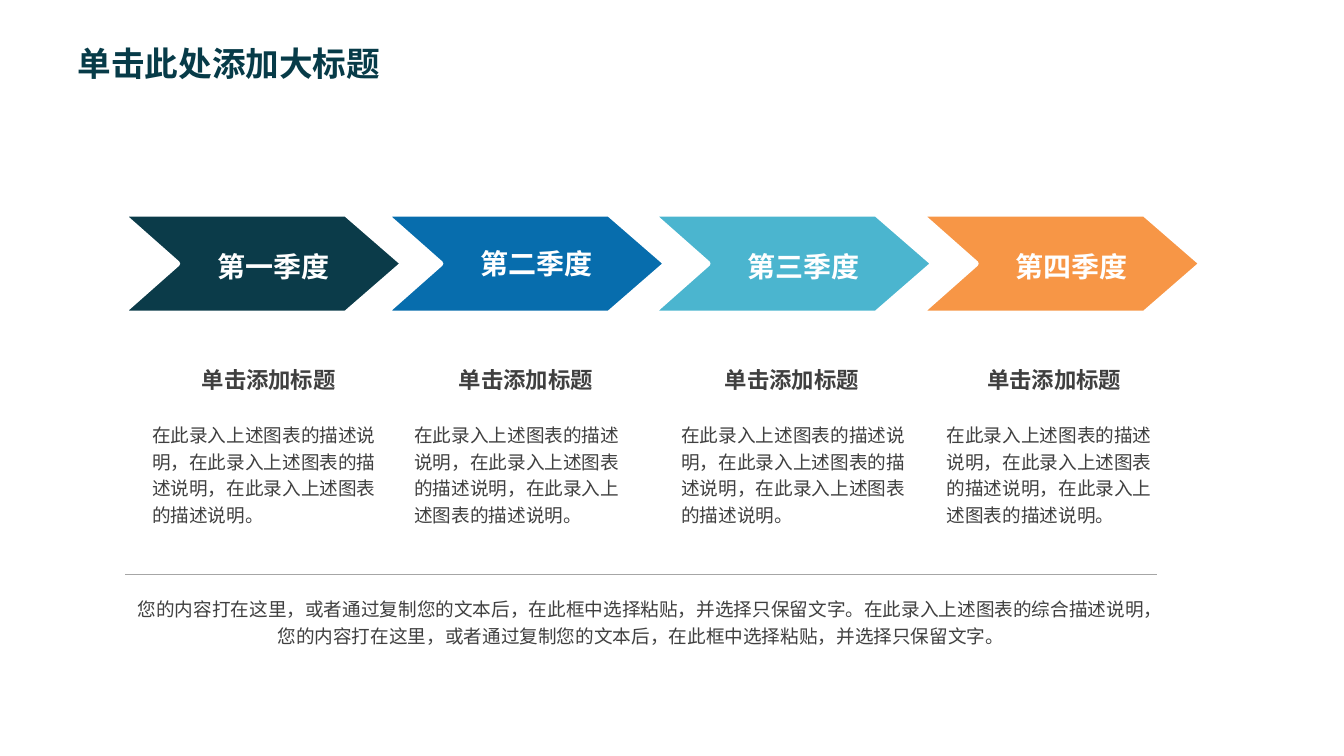
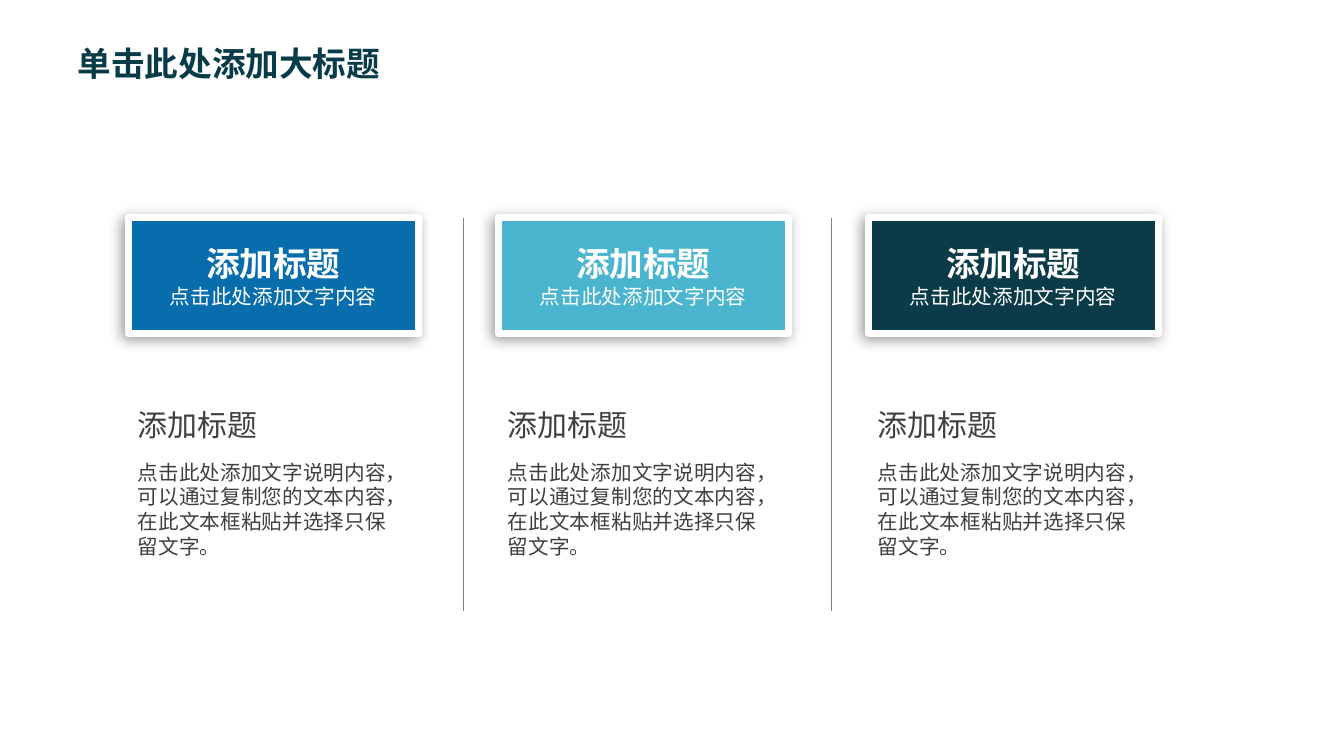
from typing import NamedTuple

from lxml.etree import SubElement
from pptx import Presentation
from pptx.dml.color import RGBColor
from pptx.enum.shapes import MSO_CONNECTOR, MSO_SHAPE
from pptx.enum.text import MSO_ANCHOR, MSO_AUTO_SIZE, PP_ALIGN
from pptx.oxml.ns import qn
from pptx.slide import Slide
from pptx.text.text import TextFrame, _Paragraph
from pptx.util import Inches, Pt

COLORS = {
    "title": "073B48",
    "navy": "0B3B49",
    "blue": "076DAD",
    "aqua": "4BB5CF",
    "orange": "F79646",
    "text": "404040",
    "rule": "A6A6A6",
    "divider": "808080",
    "white": "FFFFFF",
    "shadow": "000000",
}
CJK_FONT = "Noto Sans CJK SC"
TITLE = "单击此处添加大标题"
STEP_HEADING = "单击添加标题"
STEP_BODY = "，".join(["在此录入上述图表的描述说明"] * 3) + "。"
PASTE_HINT = "您的内容打在这里，或者通过复制您的文本后，在此框中选择粘贴，并选择只保留文字。"
SUMMARY = f"{PASTE_HINT}在此录入上述图表的综合描述说明，{PASTE_HINT}"
CARD_TITLE = "添加标题"
CARD_SUBTITLE = "点击此处添加文字内容"
CARD_BODY = "点击此处添加文字说明内容，可以通过复制您的文本内容，在此文本框粘贴并选择只保留文字。"


class Style(NamedTuple):
    size: float
    color: str = "text"
    bold: bool = False
    align: PP_ALIGN = PP_ALIGN.LEFT
    spacing: float = 1.0
    font: str = CJK_FONT


class Box(NamedTuple):
    left: float
    top: float
    width: float
    height: float

    def lengths(self) -> list[Inches]:
        return [Inches(v) for v in self]


class Step(NamedTuple):
    label: str
    color: str
    left: float
    heading_left: float
    body_left: float
    body_width: float
    label_spacing: float = 1.2


STEPS = [
    Step("第一季度", "navy", 1.2, 1.89, 1.41, 2.46),
    Step("第二季度", "blue", 3.81, 4.44, 4.01, 2.41, 1.0),
    Step("第三季度", "aqua", 6.46, 7.08, 6.66, 2.44),
    Step("第四季度", "orange", 9.12, 9.68, 9.29, 2.41),
]
CARD_COLORS = ["blue", "aqua", "navy"]
CARD_LEFT, CARD_PITCH = 1.27, 3.67
DIVIDERS = [4.59, 8.24]


def rgb(name: str) -> RGBColor:
    return RGBColor.from_string(COLORS[name])


def write(p: _Paragraph, text: str, style: Style) -> None:
    p.text = text
    p.alignment = style.align
    p.line_spacing = style.spacing
    font = p.font
    font.size = Pt(style.size)
    font.bold = style.bold
    font.color.rgb = rgb(style.color)
    font.name = style.font
    # Chinese glyphs take the East Asian typeface
    SubElement(p._p.pPr.find(qn("a:defRPr")), qn("a:ea"), typeface=CJK_FONT)


def set_insets(tf: TextFrame, left: float, top: float, right: float, bottom: float) -> None:
    tf.margin_left, tf.margin_top = Inches(left), Inches(top)
    tf.margin_right, tf.margin_bottom = Inches(right), Inches(bottom)


def add_text(s: Slide, box: Box, text: str, style: Style, wrap: bool = True,
             anchor: MSO_ANCHOR = MSO_ANCHOR.TOP) -> None:
    tf = s.shapes.add_textbox(*box.lengths()).text_frame
    tf.word_wrap = wrap
    tf.vertical_anchor = anchor
    write(tf.paragraphs[0], text, style)


def add_line(s: Slide, x1: float, y1: float, x2: float, y2: float,
             color: str, width: float) -> None:
    line = s.shapes.add_connector(
        MSO_CONNECTOR.STRAIGHT, *(Inches(v) for v in (x1, y1, x2, y2)))
    line.line.color.rgb = rgb(color)
    line.line.width = Pt(width)
    SubElement(line._element.spPr, qn("a:effectLst"))


def add_titled_slide(prs: Presentation) -> Slide:
    s = prs.slides.add_slide(prs.slide_layouts[5])
    title = s.shapes.title
    title.left, title.top, title.width, title.height = Box(0.66, 0.24, 9.32, 0.77).lengths()
    tf = title.text_frame
    tf.auto_size = MSO_AUTO_SIZE.NONE
    tf.vertical_anchor = MSO_ANCHOR.MIDDLE
    set_insets(tf, 0.11, 0.04, 0.08, 0.04)
    write(tf.paragraphs[0], TITLE, Style(24, "title", bold=True))
    return s


def paint(sp, fill: str, line_width: float) -> None:
    """Fill a shape and give it a white outline without the theme shadow."""
    sp.shadow.inherit = False
    sp.fill.solid()
    sp.fill.fore_color.rgb = rgb(fill)
    sp.line.color.rgb = rgb("white")
    sp.line.width = Pt(line_width)


def add_chevron(s: Slide, left: float, color: str) -> None:
    top, middle, bottom = 2.12, 2.615, 3.11
    points = [(left + dx, y) for dx, y in (
        (0, top), (2.23, top), (2.8, middle), (2.23, bottom), (0, bottom), (0.56, middle))]
    (start, *rest) = [(Inches(x), Inches(y)) for x, y in points]
    builder = s.shapes.build_freeform(*start, scale=1.0)
    builder.add_line_segments(rest, close=True)
    paint(builder.convert_to_shape(), color, 4)


def add_step(s: Slide, step: Step) -> None:
    add_chevron(s, step.left, step.color)
    add_text(s, Box(step.left + 0.31, 2.36, 2.4, 0.5), step.label,
             Style(20, "white", True, PP_ALIGN.CENTER, step.label_spacing, "Arial"),
             anchor=MSO_ANCHOR.MIDDLE)
    add_text(s, Box(step.heading_left, 3.58, 1.55, 0.37), STEP_HEADING,
             Style(16, bold=True, align=PP_ALIGN.CENTER), wrap=False)
    add_text(s, Box(step.body_left, 4.11, step.body_width, 1.18), STEP_BODY,
             Style(13.3, spacing=1.2))


def add_soft_shadow(sp) -> None:
    effects = sp._element.spPr.find(qn("a:effectLst"))
    shadow = SubElement(effects, qn("a:outerShdw"), blurRad=str(Pt(10)), dist=str(Pt(3)),
                        dir=str(135 * 60000), algn="tr", rotWithShape="0")
    color = SubElement(shadow, qn("a:srgbClr"), val=COLORS["shadow"])
    SubElement(color, qn("a:alpha"), val="40000")


def add_card(s: Slide, left: float, color: str) -> None:
    sp = s.shapes.add_shape(MSO_SHAPE.RECTANGLE, *Box(left, 2.16, 2.88, 1.15).lengths())
    paint(sp, color, 5)
    add_soft_shadow(sp)
    tf = sp.text_frame
    tf.word_wrap = True
    tf.vertical_anchor = MSO_ANCHOR.MIDDLE
    write(tf.paragraphs[0], CARD_TITLE, Style(24, "white", True, PP_ALIGN.CENTER))
    write(tf.add_paragraph(), CARD_SUBTITLE, Style(14.7, "white", align=PP_ALIGN.CENTER))
    add_text(s, Box(left, 3.98, 1.4, 0.46), CARD_TITLE, Style(21.4), wrap=False)
    add_text(s, Box(left, 4.51, 2.67, 1.09), CARD_BODY, Style(14.7))


def build_quarters(prs: Presentation) -> None:
    s = add_titled_slide(prs)
    for step in STEPS:
        add_step(s, step)
    add_line(s, 1.24, 5.7, 11.48, 5.7, "rule", 0.5)
    add_text(s, Box(1.23, 5.84, 10.26, 0.64), SUMMARY,
             Style(13.3, align=PP_ALIGN.CENTER, spacing=1.2))


def build_cards(prs: Presentation) -> None:
    s = add_titled_slide(prs)
    for x in DIVIDERS:
        add_line(s, x, 2.16, x, 6.06, "divider", 0.25)
    for i, color in enumerate(CARD_COLORS):
        add_card(s, CARD_LEFT + i * CARD_PITCH, color)


def main() -> None:
    prs = Presentation()
    prs.slide_width, prs.slide_height = Inches(13.33), Inches(7.5)
    build_quarters(prs)
    build_cards(prs)
    prs.save("out.pptx")


if __name__ == "__main__":
    main()
